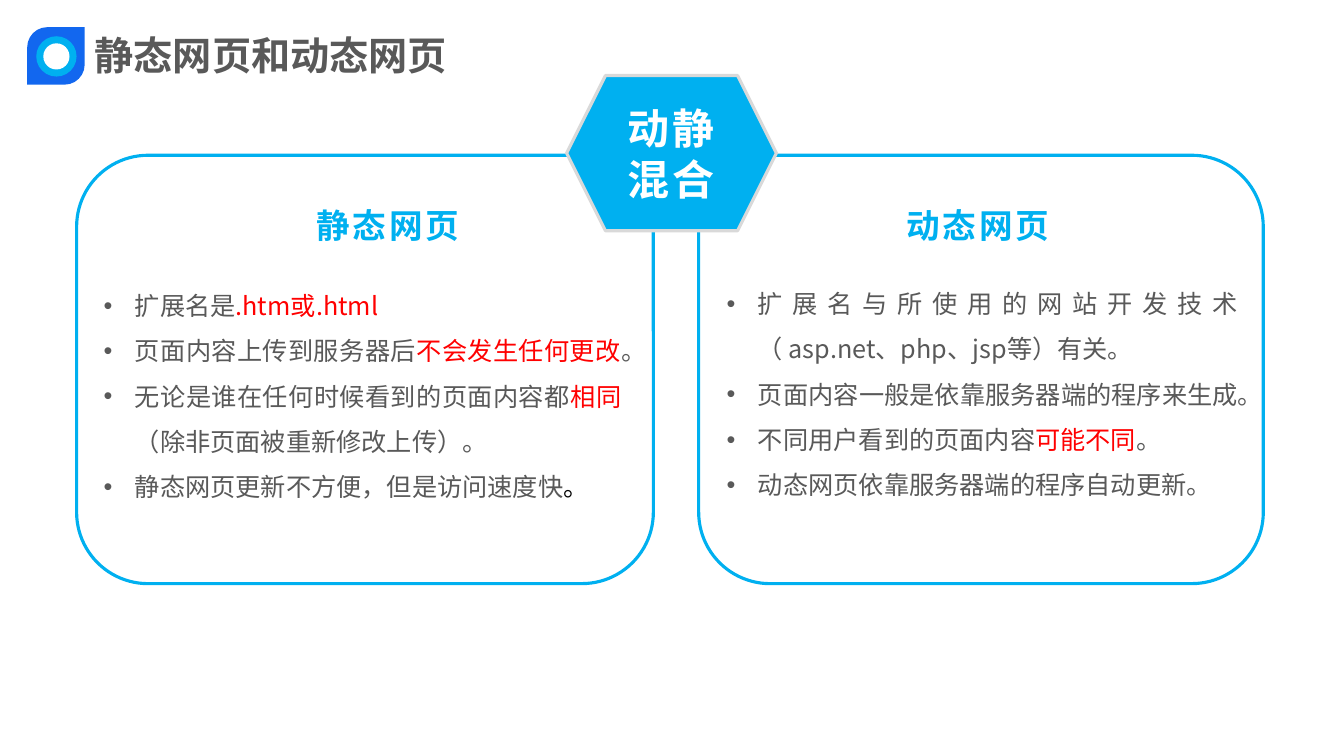
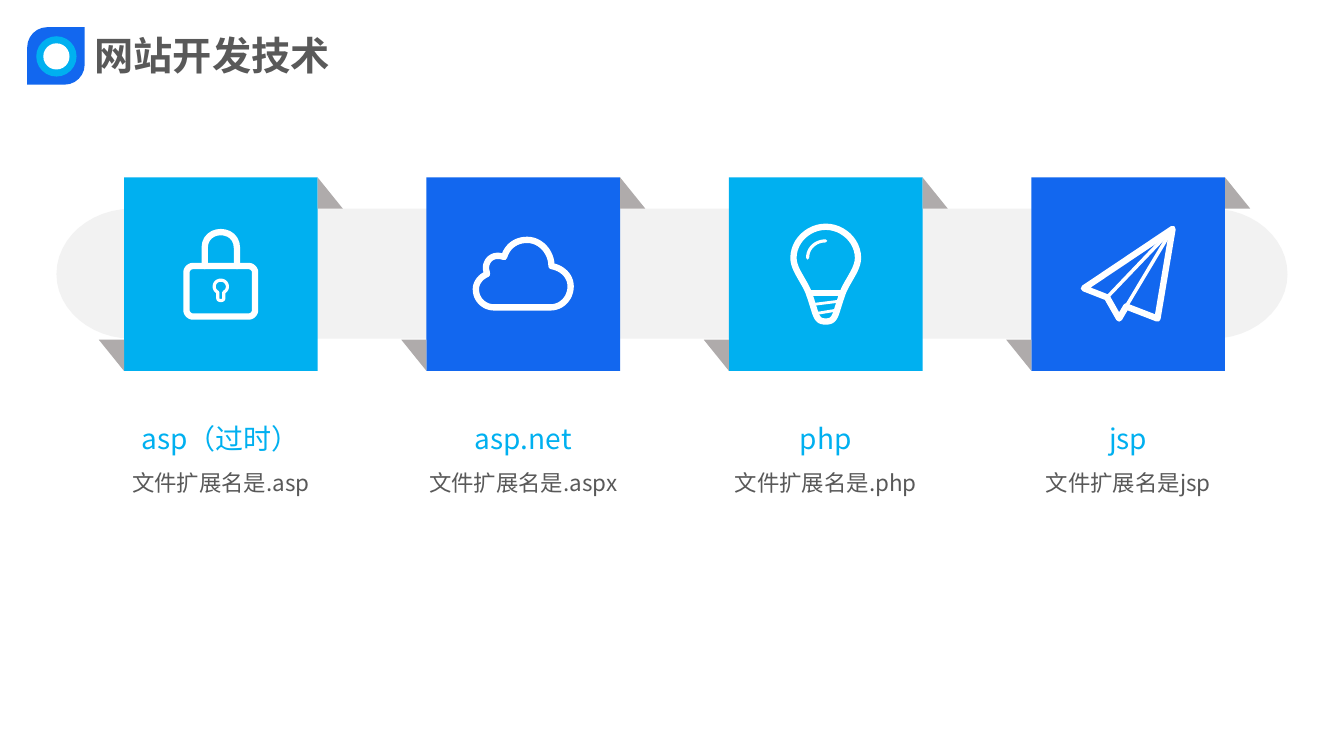
from lxml import etree
from pptx import Presentation
from pptx.dml.color import RGBColor
from pptx.enum.shapes import MSO_SHAPE
from pptx.enum.text import MSO_AUTO_SIZE, PP_ALIGN
from pptx.oxml.ns import qn
from pptx.util import Inches, Pt

RECT = MSO_SHAPE.RECTANGLE
ROUND = MSO_SHAPE.ROUNDED_RECTANGLE
LEAF = MSO_SHAPE.ROUND_2_DIAG_RECTANGLE
OVAL = MSO_SHAPE.OVAL
HEX = MSO_SHAPE.HEXAGON
LEFT, MID, JUST = PP_ALIGN.LEFT, PP_ALIGN.CENTER, PP_ALIGN.JUSTIFY
GROW = MSO_AUTO_SIZE.SHAPE_TO_FIT_TEXT

FONT = "Noto Sans CJK SC"
COLORS = {
    "sky": "00B0F0", "blue": "1267EF", "white": "FFFFFF", "text": "595959",
    "red": "FF0000", "black": "000000", "edge": "D9D9D9", "band": "F2F2F2",
    "fold": "AFABAB",
}

STATIC = [
    [("扩展名是", "text"), (".htm或.html", "red")],
    [("页面内容上传到服务器后", "text"), ("不会发生任何更改", "red"), ("。", "text")],
    [("无论是谁在任何时候看到的页面内容都", "text"), ("相同", "red"),
     ("（除非页面被重新修改上传）。", "text")],
    [("静态网页更新不方便，但是访问速度快", "text"), ("。", "black")],
]
DYNAMIC = [
    [("扩展名与所使用的网站开发技术（ asp.net、php、jsp等）有关。", "text")],
    [("页面内容一般是依靠服务器端的程序来生成。", "text")],
    [("不同用户看到的页面内容", "text"), ("可能不同", "red"), ("。", "text")],
    [("动态网页依靠服务器端的程序自动更新。", "text")],
]

# A path lists its start, then line ends (2 numbers) and Bezier curves (6).
# Each icon stroke is (width in points, closed, path), measured from its tile.
LOCK = [
    (4.5, True, [(0.68, 0.88), (1.24, 0.88), (1.27, 0.88, 1.3, 0.91, 1.3, 0.94),
                 (1.3, 1.32), (1.3, 1.35, 1.27, 1.38, 1.24, 1.38), (0.68, 1.38),
                 (0.65, 1.38, 0.62, 1.35, 0.62, 1.32), (0.62, 0.94),
                 (0.62, 0.91, 0.65, 0.88, 0.68, 0.88)]),
    (4.5, False, [(0.8, 0.88), (0.8, 0.7), (0.8, 0.49, 1.12, 0.49, 1.12, 0.7),
                  (1.12, 0.88)]),
    (2.25, True, [(0.93, 1.14), (0.87, 1.11, 0.89, 1.02, 0.96, 1.02),
                  (1.03, 1.02, 1.05, 1.11, 0.99, 1.14), (0.99, 1.2),
                  (0.99, 1.23, 0.93, 1.23, 0.93, 1.2)]),
]
CLOUD = [
    (4.5, True, [(1.24, 0.88), (1.24, 0.74, 1.13, 0.62, 1, 0.62),
                 (0.88, 0.62, 0.8, 0.69, 0.77, 0.79),
                 (0.66, 0.75, 0.59, 0.82, 0.59, 0.9),
                 (0.59, 0.92, 0.6, 0.94, 0.6, 0.96),
                 (0.53, 0.99, 0.49, 1.05, 0.49, 1.11),
                 (0.49, 1.21, 0.57, 1.29, 0.67, 1.29), (1.23, 1.29),
                 (1.34, 1.29, 1.43, 1.2, 1.43, 1.08),
                 (1.43, 0.98, 1.35, 0.9, 1.24, 0.88)]),
]
BULB = [
    (4.5, True, [(0.96, 0.49), (1.13, 0.49, 1.28, 0.63, 1.28, 0.8),
                 (1.28, 0.92, 1.16, 1.04, 1.12, 1.17),
                 (1.05, 1.37, 1.06, 1.43, 0.96, 1.43),
                 (0.86, 1.43, 0.87, 1.37, 0.8, 1.17),
                 (0.76, 1.04, 0.64, 0.92, 0.64, 0.8),
                 (0.64, 0.63, 0.79, 0.49, 0.96, 0.49)]),
    (4.5, False, [(0.8, 1.15), (1.12, 1.15)]),
    (2, False, [(0.84, 1.26), (1.08, 1.23)]),
    (2, False, [(0.87, 1.35), (1.05, 1.32)]),
    (2.25, False, [(0.78, 0.8), (0.78, 0.7, 0.86, 0.63, 0.96, 0.63)]),
]
PLANE = [
    (4.5, True, [(1.4, 0.51), (0.52, 1.1), (0.75, 1.19), (0.87, 1.4),
                 (0.94, 1.28), (1.25, 1.4)]),
    (2.5, False, [(1.4, 0.51), (0.76, 1.18)]),
    (2.5, False, [(1.4, 0.51), (0.94, 1.28)]),
]
CARDS = [
    ("asp（过时）", "文件扩展名是.asp", "sky", LOCK),
    ("asp.net", "文件扩展名是.aspx", "blue", CLOUD),
    ("php", "文件扩展名是.php", "sky", BULB),
    ("jsp", "文件扩展名是jsp", "blue", PLANE),
]
BAND = [(1.31, 2.07), (12.02, 2.07), (12.43, 2.07, 12.77, 2.36, 12.77, 2.72),
        (12.77, 3.07, 12.43, 3.36, 12.02, 3.36), (1.31, 3.36),
        (0.9, 3.36, 0.56, 3.07, 0.56, 2.72), (0.56, 2.36, 0.9, 2.07, 1.31, 2.07)]


def color(name):
    return RGBColor.from_string(COLORS[name])


def paint(shape, fill=None, line=None, width=2.25):
    shape.shadow.inherit = False
    if fill:
        shape.fill.solid()
        shape.fill.fore_color.rgb = color(fill)
    else:
        shape.fill.background()
    if line:
        shape.line.color.rgb = color(line)
        shape.line.width = Pt(width)
    else:
        shape.line.fill.background()
    return shape


def block(slide, kind, box, fill, line=None):
    shape = slide.shapes.add_shape(kind, *map(Inches, box))
    return paint(shape, fill, line)


def trace(path, steps=12):
    """Turn a path of lines and Bezier curves into plain points."""
    points = [path[0]]
    for part in path[1:]:
        if len(part) == 2:
            points.append(part)
            continue
        knots = [points[-1], part[:2], part[2:4], part[4:]]
        for step in range(1, steps + 1):
            t = step / steps
            u = 1 - t
            mix = (u ** 3, 3 * u * u * t, 3 * u * t * t, t ** 3)
            points.append(tuple(sum(m * k[axis] for m, k in zip(mix, knots))
                                for axis in (0, 1)))
    return points


def outline(slide, path, left=0, top=0, close=True):
    points = [(Inches(left + x), Inches(top + y)) for x, y in trace(path)]
    pen = slide.shapes.build_freeform(*points[0])
    pen.add_line_segments(points[1:], close=close)
    return pen.convert_to_shape()


def stroke(slide, path, left, top, width, close):
    shape = paint(outline(slide, path, left, top, close), None, "white", width)
    line = shape.line._get_or_add_ln()
    line.set("cap", "rnd")
    etree.SubElement(line, qn("a:round"))


def style(run, size, tint, bold, gap):
    font = run.font
    font.size, font.bold, font.name = Pt(size), bold, FONT
    font.color.rgb = color(tint)
    props = run._r.get_or_add_rPr()
    etree.SubElement(props, qn("a:ea")).set("typeface", FONT)
    if gap:
        props.set("spc", str(gap * 100))


def bullet(para):
    props = para._p.get_or_add_pPr()
    props.set("marL", str(Inches(0.31)))
    props.set("indent", str(Inches(-0.31)))
    etree.SubElement(props, qn("a:buFont")).set("typeface", "Arial")
    etree.SubElement(props, qn("a:buChar")).set("char", "•")


def write(slide, box, lines, size, bold=False, gap=0, align=LEFT, space=None,
          dots=False, wrap=True):
    """Add a text box; each line is a list of (text, colour[, size]) runs."""
    frame = slide.shapes.add_textbox(*map(Inches, box)).text_frame
    frame.word_wrap = wrap
    frame.auto_size = GROW
    for at, line in enumerate(lines):
        para = frame.add_paragraph() if at else frame.paragraphs[0]
        para.alignment = align
        if space:
            para.line_spacing = space
        if dots:
            bullet(para)
        for text, tint, *own in line:
            run = para.add_run()
            run.text = text
            style(run, own[0] if own else size, tint, bold, gap)


def start(deck, title):
    """Add a slide with the badge and title that all slides share."""
    slide = deck.slides.add_slide(deck.slide_layouts[6])
    leaf = block(slide, LEAF, (0.27, 0.27, 0.57, 0.57), "blue")
    leaf.adjustments[0] = 0.35
    block(slide, OVAL, (0.36, 0.36, 0.4, 0.4), "sky")
    block(slide, OVAL, (0.43, 0.43, 0.26, 0.26), "white")
    write(slide, (0.84, 0.26, 12.02, 0.57), [[(title, "text")]], 28, True)
    return slide


def panel(slide, left, width, head, spot, lines, body):
    block(slide, ROUND, (left, 1.54, width, 4.25), "white", "sky")
    write(slide, body, lines, 18, align=JUST, space=1.5, dots=True)
    write(slide, (spot, 1.98, 1.66, 0.51), [[(head, "sky")]], 24, True, 2,
          wrap=False)


def card(slide, left, name, note, tint, icon):
    top, side = 1.76, 1.92
    right, base = left + side, top + side
    block(slide, RECT, (left, top, side, side), tint)
    for x, y, way in ((right, top, 1), (left, base, -1)):
        fold = [(x, y), (x + way * 0.25, y + way * 0.31), (x, y + way * 0.31)]
        paint(outline(slide, fold), "fold")
    for width, close, path in icon:
        stroke(slide, path, left, top, width, close)
    write(slide, (left - 0.19, 3.97, 2.3, 1.01),
          [[(name, "sky", 20)], [(note, "text", 16)]], 16, align=MID, space=1.5)


def compare(deck):
    slide = start(deck, "静态网页和动态网页")
    panel(slide, 0.76, 5.72, "静态网页", 3.04, STATIC, (0.93, 2.68, 5.33, 2.37))
    panel(slide, 6.93, 5.6, "动态网页", 8.89, DYNAMIC, (7.11, 2.66, 5.27, 2.37))
    block(slide, HEX, (5.62, 0.75, 2.08, 1.54), "sky", "edge")
    write(slide, (6.13, 0.97, 1.2, 1.11),
          [[("动静", "white")], [("混合", "white")]], 30, True, 2)


def survey(deck):
    slide = start(deck, "网站开发技术")
    paint(outline(slide, BAND), "band")
    for at, item in enumerate(CARDS):
        card(slide, 1.23 + 3 * at, *item)


def main():
    deck = Presentation()
    deck.slide_width, deck.slide_height = Inches(13.33), Inches(7.5)
    compare(deck)
    survey(deck)
    deck.save("out.pptx")


if __name__ == "__main__":
    main()
